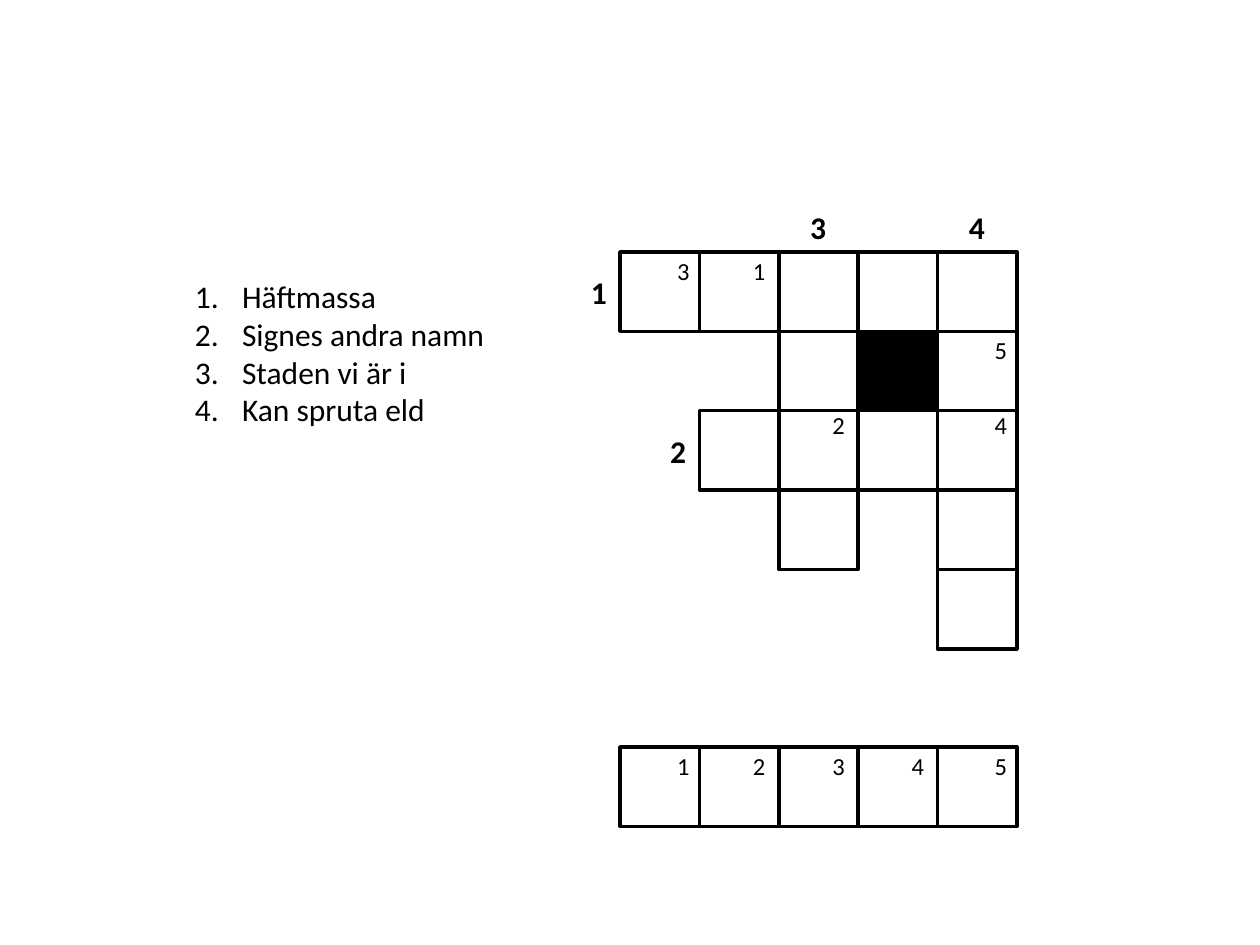
from dataclasses import dataclass
from lxml.etree import SubElement
from pptx import Presentation
from pptx.dml.color import RGBColor as Rgb
from pptx.enum.shapes import MSO_SHAPE as Shape
from pptx.enum.text import MSO_AUTO_SIZE as Auto
from pptx.oxml.ns import qn
from pptx.util import Cm, Pt

SIDE, LEFT, TOP, KEY = 1.6, 12.5, 5.08, 15.06
INK, PAPER = "000000", "FFFFFF"
GRID = ["ooooo", "  o#o", " oooo", "  o o", "    o"]
CLUES = ["Häftmassa", "Signes andra namn", "Staden vi är i", "Kan spruta eld"]
SMALL = {"size": Pt(14), "name": "Calibri", "bold": False}
BODY = {"size": Pt(18), "name": "Calibri", "bold": False}
BOLD = BODY | {"bold": True}


@dataclass
class Mark:
    text: str
    col: int
    row: int


ACROSS = [Mark("1", 0, 0), Mark("2", 1, 2)]
DOWN = [Mark("3", 2, 0), Mark("4", 4, 0)]
HINTS = [Mark("1", 1, 0), Mark("3", 0, 0), Mark("5", 4, 1),
         Mark("4", 4, 2), Mark("2", 2, 2)]

deck = Presentation()
deck.slide_width, deck.slide_height = Cm(25.4), Cm(19.05)
slide = deck.slides.add_slide(deck.slide_layouts[6])


def color(code: str) -> Rgb:
    return Rgb.from_string(code)


def cell(left: float, top: float, fill: str = PAPER) -> None:
    box = slide.shapes.add_shape(
        Shape.RECTANGLE, Cm(left), Cm(top), Cm(SIDE), Cm(SIDE))
    box.shadow.inherit = False
    box.fill.solid()
    box.fill.fore_color.rgb = color(fill)
    box.line.color.rgb = color(INK)
    box.line.width = Pt(2)


def label(lines: list[str], left: float, top: float, width: float,
          height: float, style: dict, listed: bool = False) -> None:
    box = slide.shapes.add_textbox(Cm(left), Cm(top), Cm(width), Cm(height))
    frame = box.text_frame
    frame.word_wrap = False
    frame.auto_size = Auto.SHAPE_TO_FIT_TEXT
    frame.text = "\n".join(lines)
    for para in frame.paragraphs:
        font = para.runs[0].font
        font.color.rgb = color(INK)
        for key, value in style.items():
            setattr(font, key, value)
        if listed:
            props = para._p.get_or_add_pPr()
            props.set("marL", str(Cm(0.95)))
            props.set("indent", str(-Cm(0.95)))
            SubElement(props, qn("a:buFont"), typeface="+mj-lt")
            SubElement(props, qn("a:buAutoNum"), type="arabicPeriod")


def number(mark: Mark, top: float) -> None:
    shift = 0.9 if mark.col in (0, 4) else 0.83
    label([mark.text], LEFT + mark.col * SIDE + shift, top, 0.76, 0.86, SMALL)


def clue(mark: Mark, right: float, lower: float) -> None:
    label([mark.text], LEFT + mark.col * SIDE + right,
          TOP + mark.row * SIDE + lower, 0.84, 1.02, BOLD)


for row, line in enumerate(GRID):
    for col, sign in enumerate(line):
        if sign != " ":
            cell(LEFT + col * SIDE, TOP + row * SIDE,
                 INK if sign == "#" else PAPER)

for mark in ACROSS:
    clue(mark, -0.84, 0.3)
for mark in DOWN:
    clue(mark, 0.38, -1.02)
for mark in HINTS:
    number(mark, TOP + mark.row * SIDE - (0.13 if mark.row == 2 else 0.05))

for col in range(5):
    cell(LEFT + col * SIDE, KEY)
for col in range(5):
    number(Mark(str(col + 1), col, 0), KEY - 0.05)

label(CLUES, 3.68, 5.46, 6.43, 3.33, BODY, True)
deck.save("out.pptx")
